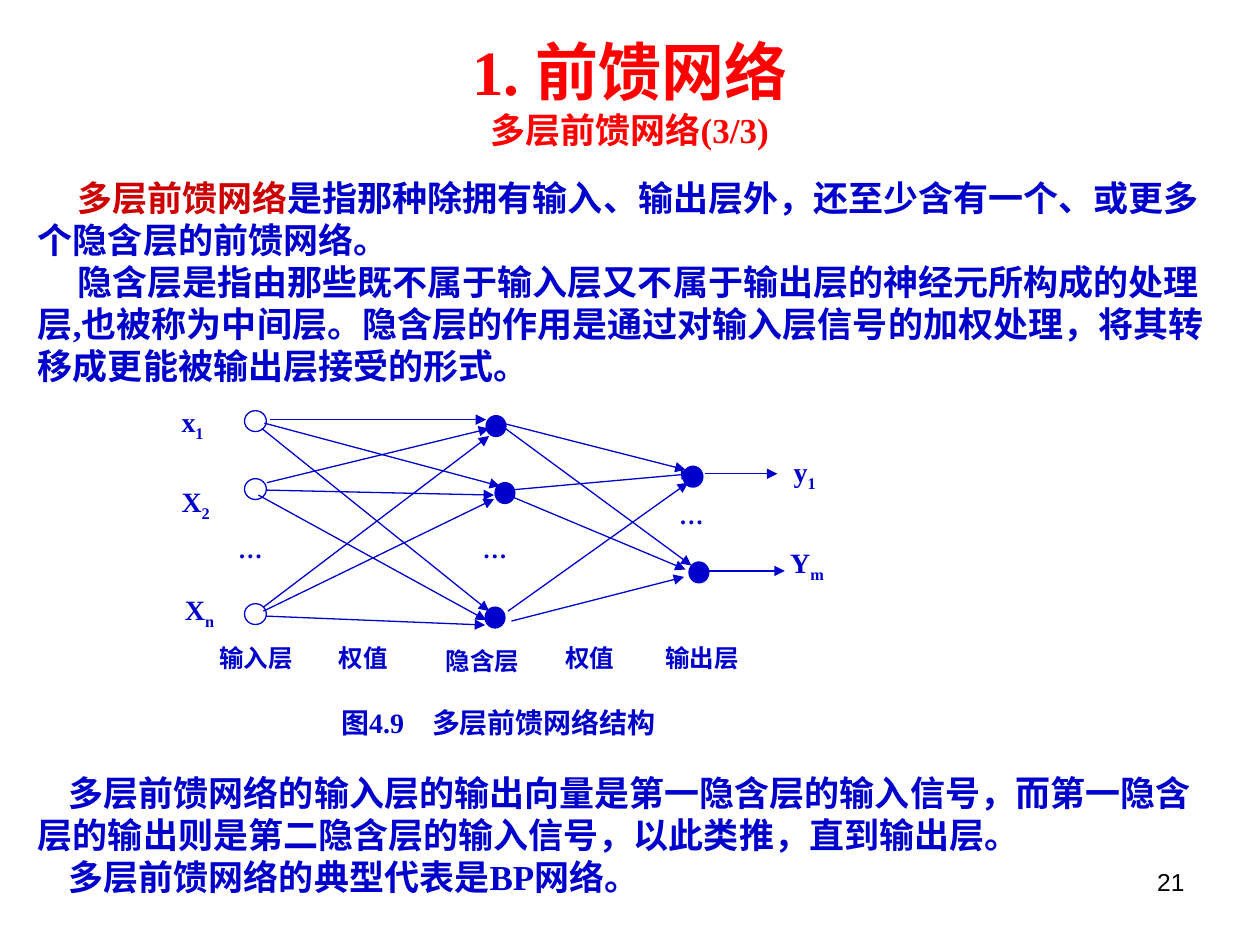
from lxml.etree import SubElement
from pptx import Presentation
from pptx.dml.color import RGBColor
from pptx.enum.shapes import MSO_CONNECTOR as Link, MSO_SHAPE as Shape
from pptx.enum.text import MSO_ANCHOR as Anchor, MSO_AUTO_SIZE as AutoSize, PP_ALIGN as Align
from pptx.oxml.ns import qn
from pptx.util import Cm, Pt

BLUE = RGBColor(0x00, 0x00, 0xCC)
DARK_RED = RGBColor(0xCC, 0x00, 0x00)
RED = RGBColor(0xFF, 0x00, 0x00)
BLACK = RGBColor(0x00, 0x00, 0x00)
SERIF = "Times New Roman"

INPUT_NODES = [(4.93, 8.28), (4.93, 9.65), (4.93, 12.17)]
NEURONS = [(9.8, 8.38), (9.98, 9.73), (9.78, 12.24), (13.77, 9.4), (13.89, 11.33)]
INPUT_TO_HIDDEN = [
    (5.44, 8.46, 9.8, 8.46), (5.33, 8.53, 10.08, 9.8), (5.28, 8.64, 9.86, 12.32),
    (5.38, 9.73, 9.86, 8.64), (5.38, 9.88, 9.96, 9.98), (5.21, 9.98, 9.8, 12.5),
    (5.31, 12.24, 9.86, 8.79), (5.31, 12.32, 9.96, 10.06), (5.36, 12.42, 9.78, 12.6),
]
HIDDEN_TO_OUTPUT = [
    (10.13, 8.53, 13.82, 9.47), (10.19, 8.64, 13.94, 11.4),
    (10.26, 9.88, 13.94, 9.55), (10.24, 9.98, 13.82, 11.48),
    (10.24, 12.32, 13.87, 9.73), (10.31, 12.52, 13.79, 11.63),
]
OUTPUTS = [(14.22, 9.55, 15.67, 9.55), (14.27, 11.51, 15.82, 11.51)]
SIGNALS = [
    ("x", "1", 3.61, 8.13), ("X", "2", 3.61, 9.73), ("X", "n", 3.68, 11.91),
    ("y", "1", 15.95, 9.14), ("Y", "m", 15.88, 10.97),
]
LAYER_LABELS = [
    ("输入层", 4.37, 12.93), ("权值", 6.78, 12.93), ("隐含层", 8.94, 13.0),
    ("权值", 11.35, 12.93), ("输出层", 13.36, 12.93),
    ("…", 4.75, 10.74), ("…", 9.68, 10.74), ("…", 13.64, 10.06),
]


def add_run(paragraph, text, size, color=BLUE, bold=True, font=SERIF):
    run = paragraph.add_run()
    run.text = text
    run.font.name = font
    run.font.size = Pt(size)
    run.font.bold = bold
    run.font.color.rgb = color
    return run


def place(holder, left, top, width, height):
    holder.left, holder.top = Cm(left), Cm(top)
    holder.width, holder.height = Cm(width), Cm(height)
    frame = holder.text_frame
    frame.word_wrap = True
    frame.auto_size = AutoSize.NONE
    frame.vertical_anchor = Anchor.TOP
    return frame


def fill_paragraphs(frame, paragraphs, align, indent=0):
    for index, runs in enumerate(paragraphs):
        paragraph = frame.add_paragraph() if index else frame.paragraphs[0]
        paragraph.alignment = align
        paragraph.space_before = Pt(0)
        properties = paragraph._p.get_or_add_pPr()
        properties.set("marL", "0")
        properties.set("indent", str(Cm(indent)))
        SubElement(properties, qn("a:buNone"))
        for run in runs:
            add_run(paragraph, *run)


def add_label(slide, left, top, width, height):
    label = slide.shapes.add_textbox(Cm(left), Cm(top), Cm(width), Cm(height))
    frame = label.text_frame
    frame.word_wrap = True
    frame.margin_left = frame.margin_right = Cm(0.05)
    frame.margin_top = frame.margin_bottom = Cm(0.03)
    return frame.paragraphs[0]


def add_node(slide, left, top, width, filled):
    node = slide.shapes.add_shape(Shape.OVAL, Cm(left), Cm(top), Cm(width), Cm(0.42))
    node.shadow.inherit = False
    node.line.color.rgb = BLUE
    node.line.width = Pt(0.75)
    if filled:
        node.fill.solid()
        node.fill.fore_color.rgb = BLUE
    else:
        node.fill.background()


def add_arrow(slide, ends):
    arrow = slide.shapes.add_connector(Link.STRAIGHT, *[Cm(end) for end in ends])
    arrow.line.color.rgb = BLUE
    arrow.line.width = Pt(0.75)
    properties = arrow._element.spPr
    SubElement(properties.find(qn("a:ln")), qn("a:tailEnd"), type="triangle")
    SubElement(properties, qn("a:effectLst"))


def add_network(slide):
    for ends in INPUT_TO_HIDDEN + HIDDEN_TO_OUTPUT + OUTPUTS:
        add_arrow(slide, ends)
    for left, top in INPUT_NODES:
        add_node(slide, left, top, 0.44, False)
    for left, top in NEURONS:
        add_node(slide, left, top, 0.4, True)
    for letter, index, left, top in SIGNALS:
        signal = add_label(slide, left, top, 0.95, 0.9)
        add_run(signal, letter, 16)
        subscript = add_run(signal, index, 16)
        subscript._r.get_or_add_rPr().set("baseline", "-25000")
    for text, left, top in LAYER_LABELS:
        add_run(add_label(slide, left, top, 0.6 * len(text) + 0.1, 0.85), text, 14)


def add_caption(slide):
    caption = add_label(slide, 6.83, 14.2, 6.6, 0.84)
    tabs = SubElement(caption._p.get_or_add_pPr(), qn("a:tabLst"))
    SubElement(tabs, qn("a:tab"), pos=str(Cm(1.83)), algn="l")
    add_run(caption, "图4.9\t多层前馈网络结构", 16)


def add_page_number(slide):
    number = slide.shapes.add_textbox(Cm(18.21), Cm(17.35), Cm(5.92), Cm(1.32))
    paragraph = number.text_frame.paragraphs[0]
    paragraph.alignment = Align.RIGHT
    add_run(paragraph, "21", 14, BLACK, False, "Arial")


def main():
    deck = Presentation()
    deck.slide_width, deck.slide_height = Cm(25.4), Cm(19.05)
    slide = deck.slides.add_slide(deck.slide_layouts[3])
    title, definition, summary = slide.placeholders
    fill_paragraphs(place(title, 0.79, 0.53, 23.8, 2.64), [
        [("1. 前馈网络", 36, RED)],
        [("多层前馈网络(3/3)", 20, RED)],
    ], Align.CENTER)
    fill_paragraphs(place(definition, 0.51, 3.43, 24.41, 4.5), [
        [("多层前馈网络", 20, DARK_RED),
         ("是指那种除拥有输入、输出层外，还至少含有一个、或更多个隐含层的前馈网络。", 20)],
        [("隐含层是指由那些既不属于输入层又不属于输出层的神经元所构成的处理层,也被称为中间层。"
          "隐含层的作用是通过对输入层信号的加权处理，将其转移成更能被输出层接受的形式。", 20)],
    ], Align.LEFT, 0.79)
    fill_paragraphs(place(summary, 0.51, 15.42, 24.31, 2.79), [
        [("多层前馈网络的输入层的输出向量是第一隐含层的输入信号，而第一隐含层的输出则是"
          "第二隐含层的输入信号，以此类推，直到输出层。", 20)],
        [("多层前馈网络的典型代表是BP网络。", 20)],
    ], Align.LEFT, 0.62)
    add_network(slide)
    add_caption(slide)
    add_page_number(slide)
    deck.save("out.pptx")


if __name__ == "__main__":
    main()
